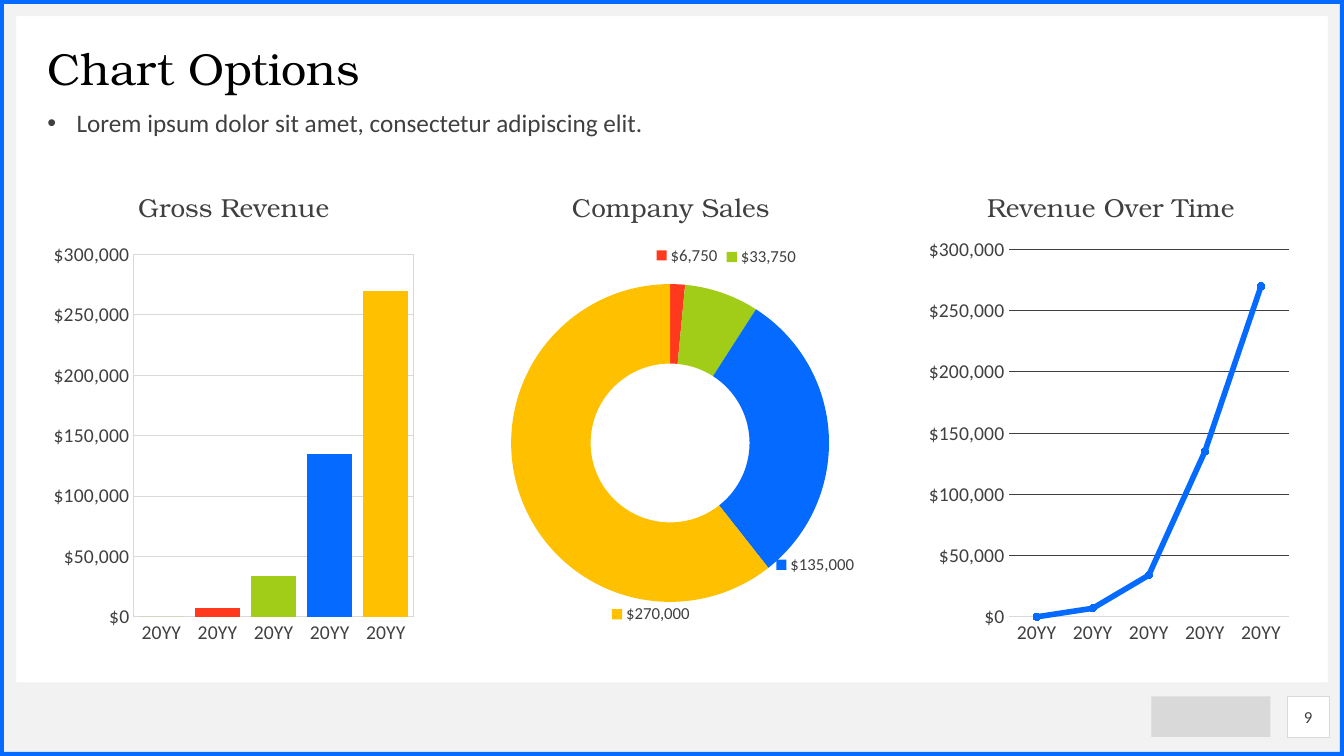
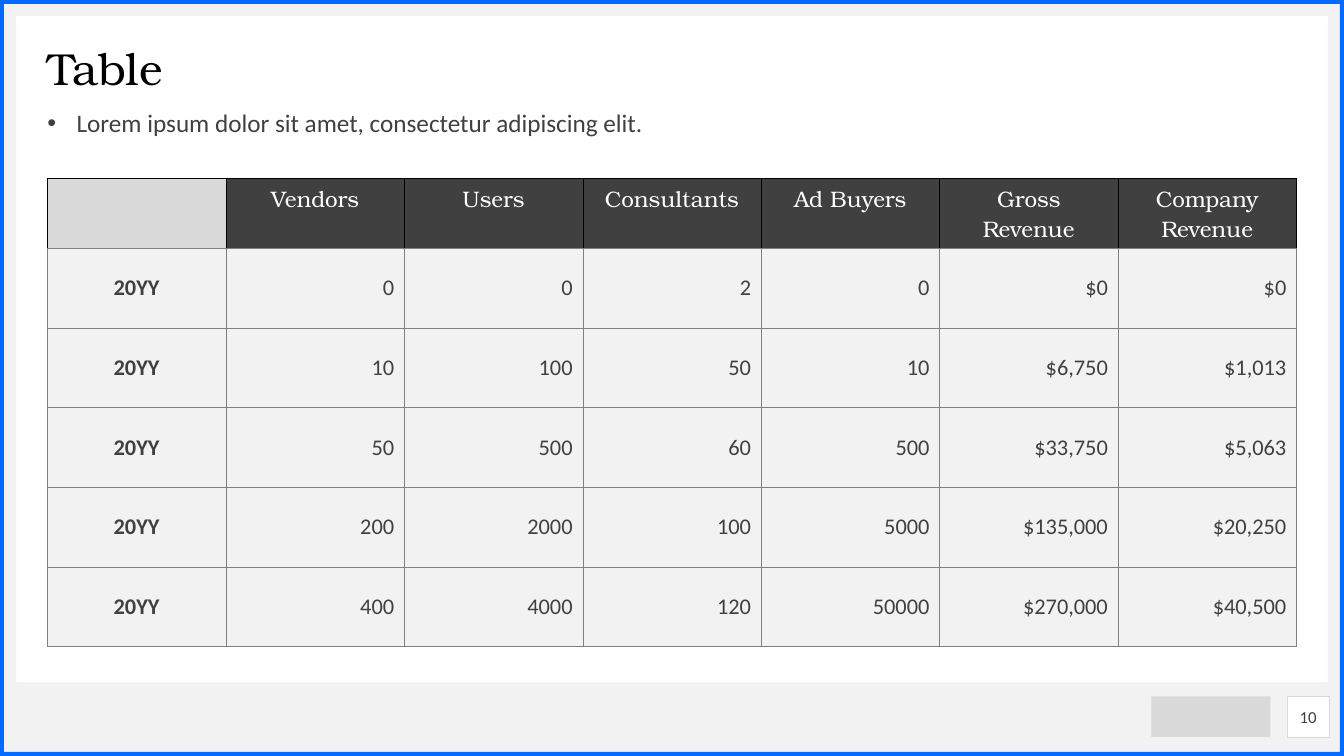
"""Builds a chart slide and a table slide that share one frame, title style and page box."""
from lxml.etree import SubElement
from pptx import Presentation
from pptx.chart.data import CategoryChartData
from pptx.dml.color import RGBColor
from pptx.enum.chart import XL_CHART_TYPE, XL_MARKER_STYLE, XL_TICK_MARK
from pptx.enum.shapes import MSO_SHAPE
from pptx.enum.text import MSO_ANCHOR, MSO_AUTO_SIZE, PP_ALIGN
from pptx.oxml.ns import qn
from pptx.util import Inches, Pt

HEX = {"blue": "056AFF", "red": "FF391E", "green": "A1CC18", "gold": "FFC000", "ink": "404040",
       "black": "000000", "white": "FFFFFF", "pale": "F2F2F2", "rule": "D9D9D9", "edge": "808080"}
RGB = {name: RGBColor.from_string(code) for name, code in HEX.items()}
SERIF, SANS = "TeX Gyre Bonum", "Calibri"
WIDE, HIGH, SIDE = 13.33, 7.5, 0.47
SPAN = WIDE - 2 * SIDE
BAND = 0.16
MONEY = "[$$-409]#,##0"


def style(font, size, color="ink", face=SANS, bold=False):
    font.size, font.name, font.bold = Pt(size), face, bold
    font.color.rgb = RGB[color]


def place(node, spot, **share):
    for old in node.findall(qn("c:layout")):
        node.remove(old)
    layout = node.makeelement(qn("c:layout"))
    node.insert(spot, layout)
    manual = SubElement(layout, qn("c:manualLayout"))
    for key, val in share.items():
        SubElement(manual, qn("c:" + key)).set("val", str(val))


deck = Presentation()
deck.slide_width, deck.slide_height = Inches(WIDE), Inches(HIGH)
base = deck.slide_layouts[1]
pages = [deck.slides.add_slide(base) for _ in range(2)]
graphs, sheet = pages

shared = []
for kind, color, box in [
    (MSO_SHAPE.RECTANGLE, "pale", (0, 6.77, WIDE, HIGH - 6.77)),
    (MSO_SHAPE.RECTANGLE, "pale", (0, 0, WIDE, BAND)),
    (MSO_SHAPE.RECTANGLE, "pale", (0, 0.1, BAND, 7.25)),
    (MSO_SHAPE.RECTANGLE, "pale", (WIDE - BAND, 0.1, BAND, 7.25)),
    (MSO_SHAPE.RECTANGLE, "rule", (11.42, 6.91, 1.18, 0.4)),
    (MSO_SHAPE.FRAME, "blue", (0, 0, WIDE, HIGH)),
]:
    band = graphs.shapes.add_shape(kind, *map(Inches, box))
    band.shadow.inherit = False
    band.fill.solid()
    band.fill.fore_color.rgb = RGB[color]
    band.line.fill.background()
    shared.append(band)
shared[-1].adjustments[0] = 0.04 / HIGH

for num, mark in enumerate(shared, 50):
    mark._element.nvSpPr.cNvPr.set("id", str(num))
    base.shapes._spTree.append(mark._element)

for page, head, num in zip(pages, ("Chart Options", "Table"), ("9", "10")):
    title, body = page.placeholders
    lead = "Lorem ipsum dolor sit amet, consectetur adipiscing elit."
    tag = page.shapes.add_shape(MSO_SHAPE.RECTANGLE, *map(Inches, (12.77, 6.91, 0.41, 0.4)))
    tag.shadow.inherit = False
    tag.fill.solid()
    tag.fill.fore_color.rgb = RGB["white"]
    tag.line.color.rgb, tag.line.width = RGB["rule"], Pt(0.25)
    for shape, text, anchor, align in [
        (title, head, MSO_ANCHOR.MIDDLE, PP_ALIGN.LEFT),
        (body, lead, MSO_ANCHOR.TOP, PP_ALIGN.LEFT),
        (tag, num, MSO_ANCHOR.MIDDLE, PP_ALIGN.CENTER),
    ]:
        frame = shape.text_frame
        frame.text, frame.word_wrap = text, True
        frame.auto_size, frame.vertical_anchor = MSO_AUTO_SIZE.NONE, anchor
        frame.margin_left = frame.margin_right = frame.margin_top = frame.margin_bottom = 0
        frame.paragraphs[0].alignment = align
    for shape, top, tall in ((title, 0.47, 0.47), (body, 1.1, 0.39)):
        shape.left, shape.top, shape.width, shape.height = map(Inches, (SIDE, top, SPAN, tall))
        para = shape.text_frame.paragraphs[0]
        para.line_spacing, para.space_before = 0.9, Pt(0)
    rules = para._p.get_or_add_pPr()
    rules.set("marL", str(Inches(0.29)))
    rules.set("indent", str(-Inches(0.29)))
    SubElement(rules, qn("a:buChar")).set("char", "•")
    style(title.text_frame.paragraphs[0].font, 32, "black", SERIF)
    style(para.font, 18)
    style(tag.text_frame.paragraphs[0].font, 12)

COLUMN, RING, LINE = (XL_CHART_TYPE.COLUMN_CLUSTERED, XL_CHART_TYPE.DOUGHNUT,
                      XL_CHART_TYPE.LINE_MARKERS_STACKED)
YEARS = ["20YY"] * 5
TREND = (0, 7000, 34000, 135000, 270000)
TINTS = ("green", "red", "green", "blue", "gold")
SHIFTS = ((0.03, -0.14), (0.14, -0.15), (0.07, 0.26), (0.25, 0.27))
CHARTS = [
    ("Gross Revenue", COLUMN, YEARS, TREND, (0.23, 0.03), (0.23, 0.18, 0.75, 0.74), "rule"),
    ("Company Sales", RING, list("12345"), (0, 6750, 33750, 135000, 270000),
     (0.22, 0.03), (0.07, 0.24, 0.85, 0.65), None),
    ("Revenue Over Time", LINE, YEARS, TREND, (0.16, 0.03), (0.23, 0.17, 0.75, 0.75), "ink"),
]
BREADTH = 3.71
STEP = (SPAN - BREADTH) / 2

for col, (head, kind, cats, vals, spot, area, grid) in enumerate(CHARTS):
    data = CategoryChartData(number_format=MONEY)
    data.categories = cats
    data.add_series("Series 1", vals)
    box = map(Inches, (SIDE + col * STEP, 1.65, BREADTH, 4.86))
    chart = graphs.shapes.add_chart(kind, *box, data).chart
    style(chart.font, 10, "black")
    chart.has_legend, chart.has_title = False, True
    label = chart.chart_title
    label.text_frame.text = head
    style(label.text_frame.paragraphs[0].font, 18.6, face=SERIF)
    place(label._element, 1, xMode="edge", yMode="edge", x=spot[0], y=spot[1])
    field = chart._chartSpace.chart.plotArea
    place(field, 0, layoutTarget="inner", xMode="edge", yMode="edge", **dict(zip("xywh", area)))
    plot = chart.plots[0]
    plot.vary_by_categories = kind == RING
    series = plot.series[0]

    if kind == LINE:
        series.smooth = False
        series.format.line.color.rgb, series.format.line.width = RGB["blue"], Pt(4)
        dot = series.marker
        dot.style, dot.size = XL_MARKER_STYLE.CIRCLE, 5
        dot.format.fill.solid()
        dot.format.fill.fore_color.rgb = RGB["blue"]
        dot.format.line.color.rgb = RGB["blue"]
    else:
        for num, tint in enumerate(TINTS):
            part = series.points[num].format
            part.fill.solid()
            part.fill.fore_color.rgb = RGB[tint]
            part.line.fill.background()

    if kind == RING:
        series.data_labels.show_value = False
        style(series.data_labels.font, 12)
        for num in range(1, len(vals)):
            style(series.points[num].data_label.font, 12)
        for mark, (x, y) in zip(series._element.iter(qn("c:dLbl")), SHIFTS):
            place(mark, 1, x=x, y=y)
            mark.find(qn("c:showLegendKey")).set("val", "1")
        for lead in chart._chartSpace.iter(qn("c:showLeaderLines")):
            lead.set("val", "0")
        continue

    across, up = chart.category_axis, chart.value_axis
    for axis in (across, up):
        axis.major_tick_mark = axis.minor_tick_mark = XL_TICK_MARK.NONE
        style(axis.tick_labels.font, 14)
    across.format.line.color.rgb, across.format.line.width = RGB["rule"], Pt(0.75)
    up.format.line.fill.background()
    up.minimum_scale, up.maximum_scale, up.major_unit = 0, 300000, 50000
    up.tick_labels.number_format, up.tick_labels.number_format_is_linked = MONEY, False
    up.has_major_gridlines = True
    ruling = up.major_gridlines.format.line
    ruling.color.rgb, ruling.width = RGB[grid], Pt(0.75)
    if kind == COLUMN:
        plot.gap_width = 25
        line = SubElement(SubElement(field, qn("c:spPr")), qn("a:ln"), w=str(Pt(0.75)))
        SubElement(SubElement(line, qn("a:solidFill")), qn("a:srgbClr"), val=HEX["rule"])

ROWS = [
    ("", "Vendors", "Users", "Consultants", "Ad Buyers", "Gross Revenue", "Company Revenue"),
    ("20YY", "0", "0", "2", "0", "$0", "$0"),
    ("20YY", "10", "100", "50", "10", "$6,750", "$1,013"),
    ("20YY", "50", "500", "60", "500", "$33,750", "$5,063"),
    ("20YY", "200", "2000", "100", "5000", "$135,000", "$20,250"),
    ("20YY", "400", "4000", "120", "50000", "$270,000", "$40,500"),
]
table = sheet.shapes.add_table(len(ROWS), len(ROWS[0]),
                               *map(Inches, (SIDE, 1.77, SPAN, 4.61))).table
table.first_row = table.horz_banding = False
for col in table.columns:
    col.width = Inches(SPAN / len(ROWS[0]))
for r, texts in enumerate(ROWS):
    table.rows[r].height = Inches(0.79 if r else 0.67)
    for c, text in enumerate(texts):
        cell = table.cell(r, c)
        props = cell._tc.get_or_add_tcPr()
        for side in "LRTB":
            line = SubElement(props, qn("a:ln" + side), w=str(Pt(0.25)))
            tone = "edge" if r or side == "B" else "black"
            SubElement(SubElement(line, qn("a:solidFill")), qn("a:srgbClr"), val=HEX[tone])
        cell.fill.solid()
        cell.fill.fore_color.rgb = RGB["pale" if r else "ink" if c else "rule"]
        cell.vertical_anchor = MSO_ANCHOR.MIDDLE if r else MSO_ANCHOR.TOP
        cell.text = text
        para = cell.text_frame.paragraphs[0]
        para.alignment = PP_ALIGN.RIGHT if r and c else PP_ALIGN.CENTER
        style(para.font, 16, "ink" if r else "white", SANS if r else SERIF, bool(r) and c == 0)

deck.save("out.pptx")
